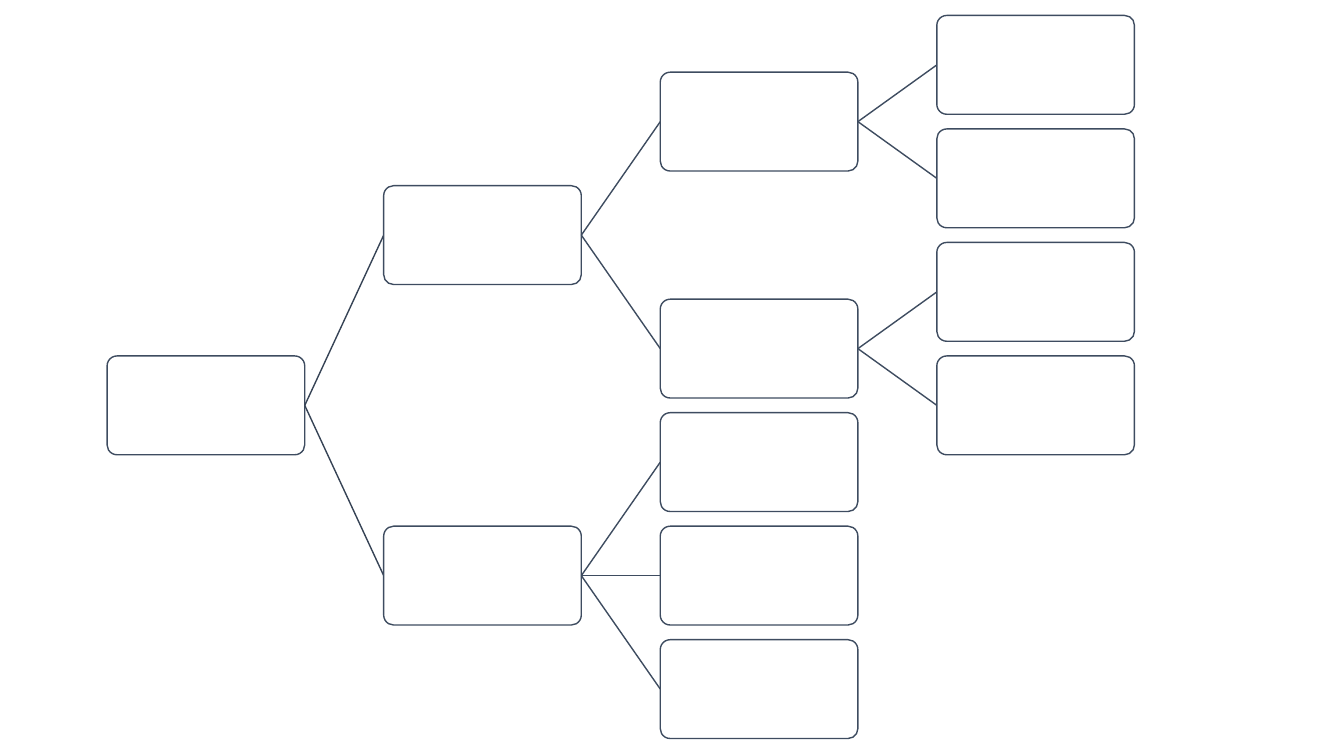
from dataclasses import dataclass

from lxml.etree import SubElement
from pptx import Presentation
from pptx.dml.color import RGBColor as Rgb
from pptx.enum.shapes import MSO_CONNECTOR as Link, MSO_SHAPE as Shape
from pptx.oxml.ns import qn
from pptx.util import Cm, Pt


@dataclass(frozen=True)
class Theme:
    """Colours and line width of the tree."""
    paper: Rgb = Rgb(0xFF, 0xFF, 0xFF)
    edge: Rgb = Rgb(0x3E, 0x4C, 0x60)
    trunk: Rgb = Rgb(0x36, 0x43, 0x55)
    width: Pt = Pt(1)


LEFT, TOP = 2.7, 0.39
WIDE, HIGH = 4.98, 2.49
STEP, PITCH = 6.97, 2.86
TREE = (((0, 1), (2, 3)), (3.5, 4.5, 5.5))


def row(node):
    """Return a leaf's row, or the middle of a branch's outer children."""
    if isinstance(node, tuple):
        return (row(node[0]) + row(node[-1])) / 2
    return node


class Chart:
    """Draws a tree of boxes on one slide."""

    def __init__(self, slide, theme):
        """Keep the slide and its style."""
        self.shapes = slide.shapes
        self.theme = theme

    def box(self, x, y):
        """Add a rounded box with its top left corner at x, y."""
        box = self.shapes.add_shape(
            Shape.ROUNDED_RECTANGLE, Cm(x), Cm(y), Cm(WIDE), Cm(HIGH))
        box.adjustments[0] = 0.1
        box.shadow.inherit = False
        box.fill.solid()
        box.fill.fore_color.rgb = self.theme.paper
        box.line.color.rgb = self.theme.edge
        box.line.width = self.theme.width

    def line(self, start, end, color):
        """Add a straight line between two points."""
        points = [Cm(n) for n in (*start, *end)]
        line = self.shapes.add_connector(Link.STRAIGHT, *points)
        line.line.color.rgb = color
        line.line.width = self.theme.width
        SubElement(line._element.spPr, qn("a:effectLst"))

    def tree(self, node, depth=0):
        """Add a node, then each child with the line that leads to it."""
        x, y = LEFT + depth * STEP, TOP + row(node) * PITCH
        self.box(x, y)
        if not isinstance(node, tuple):
            return
        color = self.theme.edge if depth else self.theme.trunk
        for child in node:
            end = x + STEP, TOP + row(child) * PITCH + HIGH / 2
            self.line((x + WIDE, y + HIGH / 2), end, color)
            self.tree(child, depth + 1)


def main():
    """Build and save the slide."""
    deck = Presentation()
    deck.slide_width, deck.slide_height = Cm(33.87), Cm(19.05)
    slide = deck.slides.add_slide(deck.slide_layouts[6])
    Chart(slide, Theme()).tree(TREE)
    deck.save("out.pptx")


if __name__ == "__main__":
    main()
